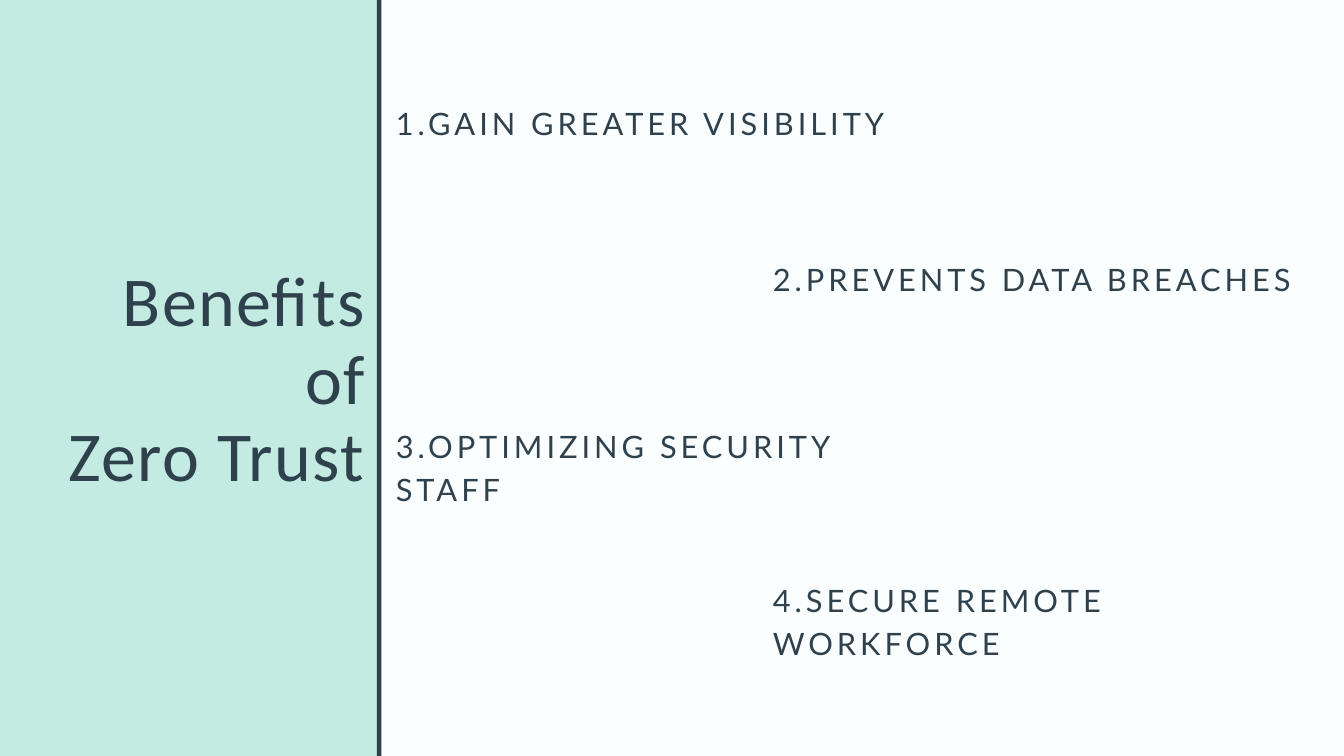
from dataclasses import dataclass

from pptx import Presentation
from pptx.dml.color import RGBColor
from pptx.enum.shapes import MSO_SHAPE
from pptx.enum.text import MSO_ANCHOR, MSO_AUTO_SIZE, PP_ALIGN
from pptx.util import Emu, Pt

PX = 9144  # EMU per px, 100 px to the inch
WIDE, HIGH = 2000, 1125
COLORS = {"mint": "C3EBE2", "white": "FAFEFF", "ink": "2E414D"}


@dataclass(frozen=True)
class Box:
    left: int
    top: int
    width: int
    height: int


@dataclass(frozen=True)
class Style:
    font: str
    size: int
    lead: float
    track: int  # letter spacing, hundredths of a point
    align: PP_ALIGN


@dataclass(frozen=True)
class Item:
    text: str
    left: int
    top: int


PANEL = Box(564, -29, 1451, 1184)
FRAME = Box(561, -33, 1458, 1191)
EDGE = 6.5 / FRAME.height
HEAD = Style("Calibri", 75, 83.2, 157, PP_ALIGN.RIGHT)
BODY = Style("Lato", 33, 46.2, 429, PP_ALIGN.LEFT)
NEAR, FAR = 589, 1150
ITEMS = [
    Item("1.GAIN GREATER VISIBILITY", NEAR, 147),
    Item("2.PREVENTS DATA BREACHES", FAR, 379),
    Item("3.OPTIMIZING SECURITY STAFF", NEAR, 627),
    Item("4.SECURE REMOTE WORKFORCE", FAR, 857),
]


def color(name: str) -> RGBColor:
    return RGBColor.from_string(COLORS[name])


def place(shape, box: Box) -> None:
    shape.left, shape.top = Emu(box.left * PX), Emu(box.top * PX)
    shape.width, shape.height = Emu(box.width * PX), Emu(box.height * PX)


def add_block(slide, kind: MSO_SHAPE, box: Box, fill: str):
    shape = slide.shapes.add_shape(kind, 0, 0, 0, 0)
    place(shape, box)
    shape.shadow.inherit = False
    shape.fill.solid()
    shape.fill.fore_color.rgb = color(fill)
    shape.line.fill.background()
    return shape


def write(shape, lines: list[str], style: Style) -> None:
    """Fill a text shape with one paragraph per line."""
    frame = shape.text_frame
    frame.word_wrap = True
    frame.auto_size = MSO_AUTO_SIZE.SHAPE_TO_FIT_TEXT
    frame.vertical_anchor = MSO_ANCHOR.TOP
    frame.margin_left = frame.margin_right = 0
    frame.margin_top = frame.margin_bottom = 0
    for i, line in enumerate(lines):
        para = frame.add_paragraph() if i else frame.paragraphs[0]
        para.alignment = style.align
        para.line_spacing = Pt(style.lead)
        para.space_before = para.space_after = Pt(0)
        run = para.add_run()
        run.text = line
        run.font.name = style.font
        run.font.size = Pt(style.size)
        run.font.color.rgb = color("ink")
        run.font._element.set("spc", str(style.track))


def add_item(slide, item: Item) -> None:
    shape = slide.shapes.add_textbox(0, 0, 0, 0)
    place(shape, Box(item.left, item.top, 822, 60))
    write(shape, [item.text], BODY)


def main() -> None:
    deck = Presentation()
    deck.slide_width, deck.slide_height = Emu(WIDE * PX), Emu(HIGH * PX)
    slide = deck.slides.add_slide(deck.slide_layouts[5])
    slide.background.fill.solid()
    slide.background.fill.fore_color.rgb = color("mint")

    title = slide.shapes.title
    place(title, Box(-40, 391, 583, 349))
    write(title, ["Benefits", "of", "Zero Trust"], HEAD)

    add_block(slide, MSO_SHAPE.RECTANGLE, PANEL, "white")
    frame = add_block(slide, MSO_SHAPE.FRAME, FRAME, "ink")
    frame.adjustments[0] = EDGE
    for item in ITEMS:
        add_item(slide, item)
    deck.save("out.pptx")


if __name__ == "__main__":
    main()
